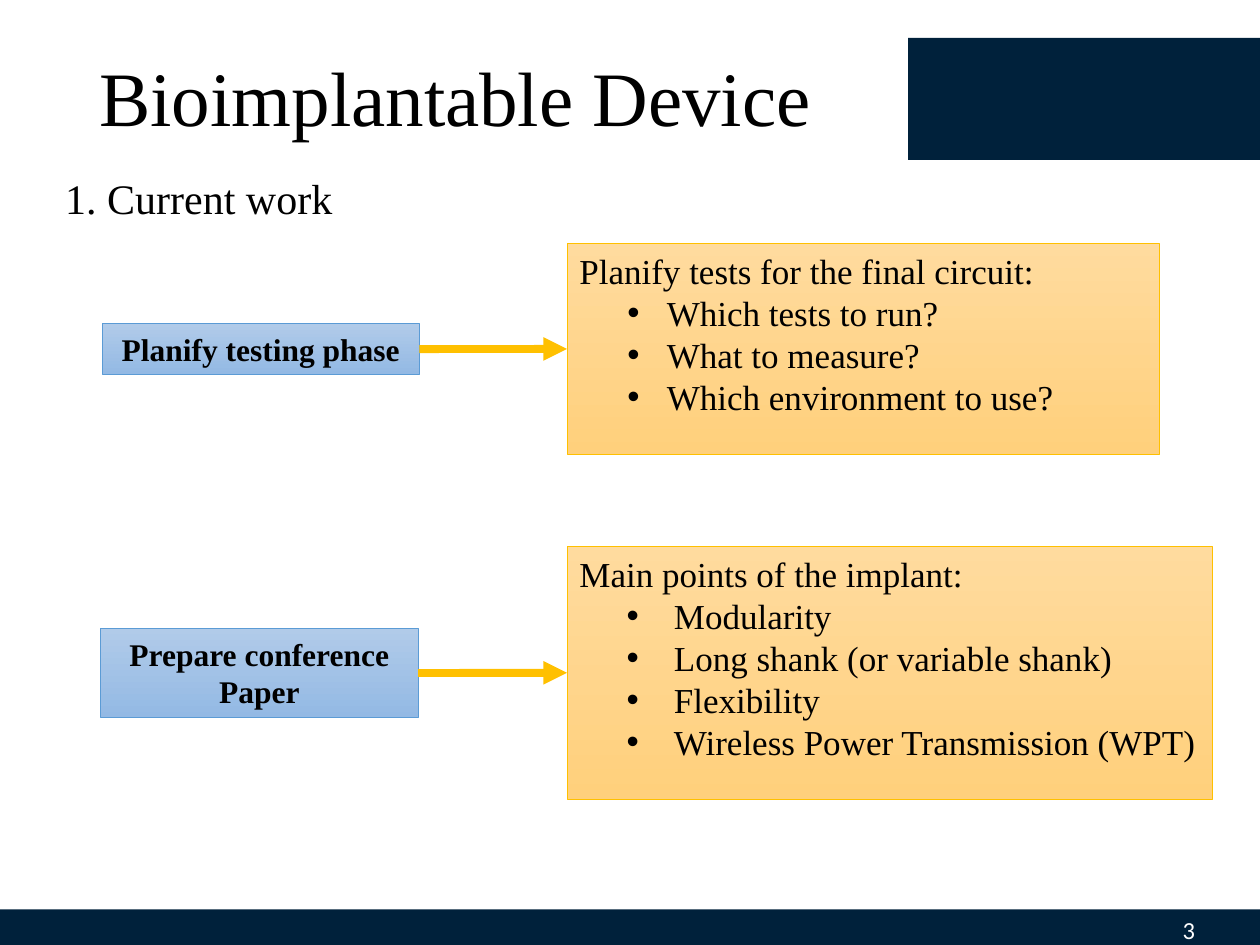
from lxml.etree import SubElement
from pptx import Presentation
from pptx.dml.color import RGBColor
from pptx.enum.shapes import MSO_CONNECTOR, MSO_SHAPE
from pptx.enum.text import MSO_ANCHOR, PP_ALIGN
from pptx.oxml.ns import qn
from pptx.util import Pt

SERIF = "Times New Roman"
NAVY, BLACK, WHITE, GOLD = "00213B", "000000", "FFFFFF", "FFC000"
BLUE_FADE, ORANGE_FADE = ("B1CBE9", "93B9E4"), ("FFDB9E", "FFD07C")

STEPS = [
    {
        "task": "Planify testing phase",
        "task_box": (58.3, 185, 181.4, 29),
        "heading": "Planify tests for the final circuit:",
        "points": ["Which tests to run?", "What to measure?", "Which environment to use?"],
        "detail_box": (324, 139.2, 338.4, 120.4),
        "indent": (50, 22.5),
    },
    {
        "task": "Prepare conference Paper",
        "task_box": (57.5, 359.1, 181.4, 51),
        "heading": "Main points of the implant:",
        "points": ["Modularity", "Long shank (or variable shank)", "Flexibility",
                   "Wireless Power Transmission (WPT)"],
        "detail_box": (324, 312.2, 368.6, 144.5),
        "indent": (54, 27),
    },
]


def paint(color, value):
    color.rgb = RGBColor.from_string(value)


def style_text(para, size, color=BLACK, font=SERIF, bold=False):
    para.font.size = Pt(size)
    para.font.name = font
    para.font.bold = bold
    paint(para.font.color, color)


def add_rectangle(page, box):
    shape = page.shapes.add_shape(MSO_SHAPE.RECTANGLE, *map(Pt, box))
    shape.shadow.inherit = False
    return shape


def add_band(page, box):
    band = add_rectangle(page, box)
    band.fill.solid()
    paint(band.fill.fore_color, NAVY)
    band.line.fill.background()


def add_panel(page, box, fade, outline):
    panel = add_rectangle(page, box)
    panel.fill.gradient()
    panel.fill.gradient_angle = 270
    for stop, value in zip(panel.fill.gradient_stops, fade):
        paint(stop.color, value)
    paint(panel.line.color, outline)
    panel.line.width = Pt(0.5)
    panel.text_frame.word_wrap = True
    panel.text_frame.vertical_anchor = MSO_ANCHOR.TOP
    return panel


def add_label(page, box, text, size, anchor=MSO_ANCHOR.TOP, **style):
    label = page.shapes.add_textbox(*map(Pt, box))
    frame = label.text_frame
    frame.word_wrap = True
    frame.vertical_anchor = anchor
    frame.text = text
    para = frame.paragraphs[0]
    style_text(para, size, **style)
    return para


def add_bullet(para, left, hanging):
    properties = para._p.get_or_add_pPr()
    properties.set("lvl", "1")
    properties.set("marL", str(Pt(left)))
    properties.set("indent", str(-Pt(hanging)))
    SubElement(properties, qn("a:buFont"), typeface="Arial")
    SubElement(properties, qn("a:buChar"), char="•")


def add_task(page, box, text):
    panel = add_panel(page, box, BLUE_FADE, "5B9BD5")
    panel.text_frame.text = text
    para = panel.text_frame.paragraphs[0]
    para.alignment = PP_ALIGN.CENTER
    style_text(para, 18, bold=True)
    return panel


def add_detail(page, box, heading, points, indent):
    panel = add_panel(page, box, ORANGE_FADE, GOLD)
    frame = panel.text_frame
    frame.text = "\n".join([heading, *points])
    for para in frame.paragraphs[1:]:
        add_bullet(para, *indent)
    for para in frame.paragraphs:
        para.alignment = PP_ALIGN.LEFT
        style_text(para, 20)
    return panel


def add_arrow(page, source, target):
    arrow = page.shapes.add_connector(MSO_CONNECTOR.STRAIGHT, 0, 0, 0, 0)
    arrow.begin_connect(source, 3)
    arrow.end_connect(target, 1)
    paint(arrow.line.color, GOLD)
    arrow.line.width = Pt(4.5)
    SubElement(arrow.line._get_or_add_ln(), qn("a:tailEnd"), type="triangle")
    SubElement(arrow._element.spPr, qn("a:effectLst"))


def add_step(page, step):
    detail = add_detail(page, step["detail_box"], step["heading"], step["points"], step["indent"])
    task = add_task(page, step["task_box"], step["task"])
    add_arrow(page, task, detail)


def add_header(page, box):
    left, top, width, height = box
    add_band(page, (519, 21.6, 201, 69.8))
    title = add_label(page, (left, top, width, height), "Bioimplantable Device", 44,
                      MSO_ANCHOR.MIDDLE)
    title.line_spacing = 0.9


def add_footer(page, box):
    left, top, width, height = box
    add_band(page, box)
    number = add_label(page, (left + 540, top, 150, height), "3", 14, color=WHITE, font="Calibri")
    number.alignment = PP_ALIGN.RIGHT


def main():
    deck = Presentation()
    deck.slide_width, deck.slide_height = Pt(720), Pt(540)
    page = deck.slides.add_slide(deck.slide_layouts[6])
    add_header(page, (49.7, 5.8, 620.6, 104.4))
    add_footer(page, (0, 519.6, 723, 22.3))
    add_label(page, (30.2, 95, 419, 36), "1. Current work", 24)
    for step in STEPS:
        add_step(page, step)
    deck.save("out.pptx")


if __name__ == "__main__":
    main()
